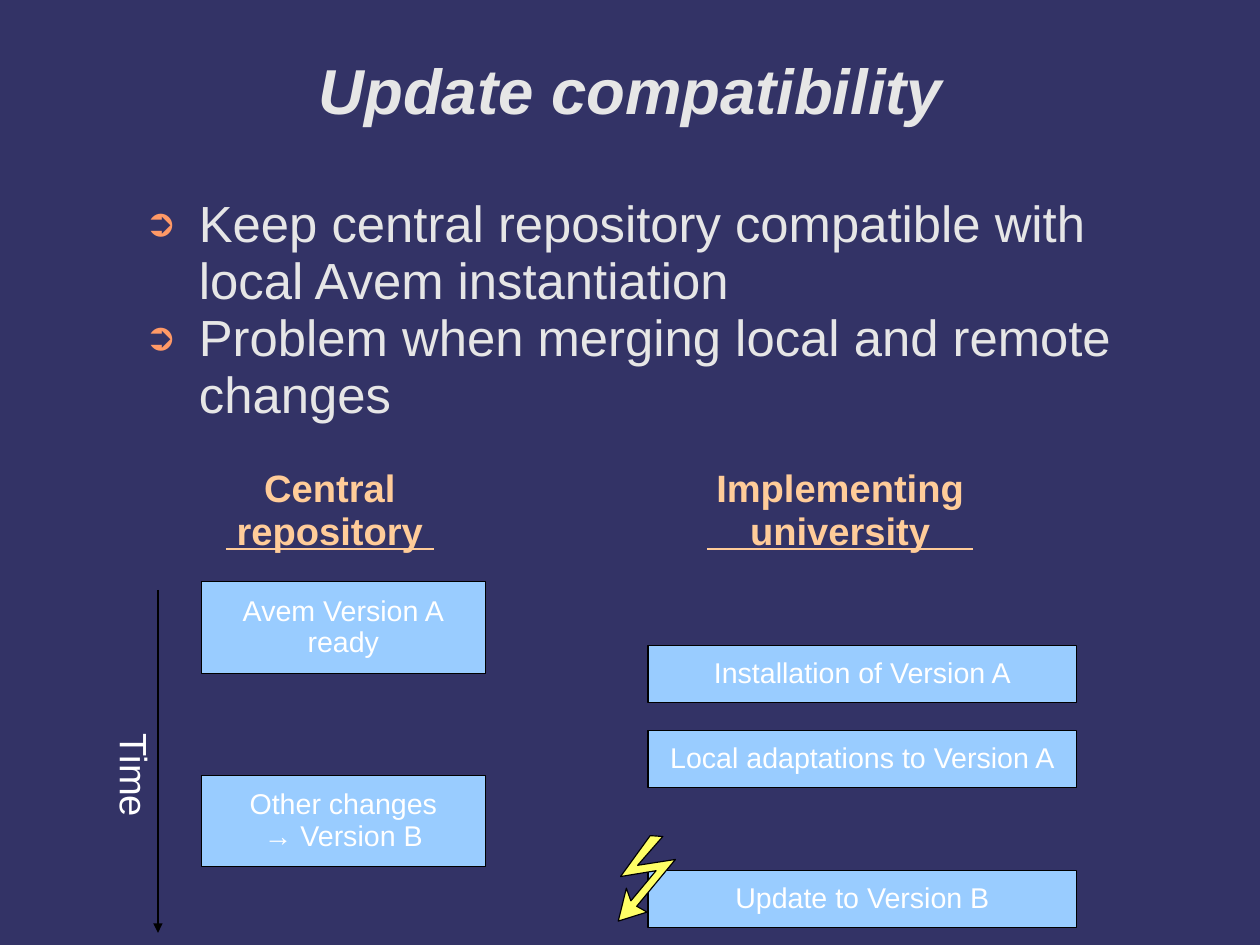
import lxml.etree
import pptx
import pptx.util
from pptx.dml.color import RGBColor
from pptx.enum.shapes import MSO_CONNECTOR, MSO_SHAPE
from pptx.enum.text import MSO_ANCHOR, MSO_AUTO_SIZE, PP_ALIGN
from pptx.oxml.ns import qn
from pptx.util import Cm

COLORS = {
    "background": "333366",
    "text": "E6E6E6",
    "bullet": "FF9966",
    "heading": "FFCC99",
    "box": "99CCFF",
    "box_text": "FFFFFF",
    "line": "000000",
    "bolt": "FFFF66",
}
BOLT = [
    (15.01, 19.1), (14.17, 19.23), (14.73, 18.59), (14.45, 18.57),
    (13.79, 19.48), (14.58, 19.35), (14.02, 20.02), (13.92, 19.74),
    (13.74, 20.47), (14.38, 20.27), (14.15, 20.14),
]


def rgb(name):
    """Return the named colour."""
    return RGBColor.from_string(COLORS[name])


def set_text(sp, text, size, color, align=PP_ALIGN.CENTER, bold=False, italic=False):
    """Fill a shape with text and format its paragraphs and runs."""
    tf = sp.text_frame
    tf.text = text
    for p in tf.paragraphs:
        p.alignment = align
        p.line_spacing = 0.93
        p.space_before = pptx.util.Pt(0)
        for r in p.runs:
            r.font.name = "Arial"
            r.font.size = pptx.util.Pt(size)
            r.font.bold = bold
            r.font.italic = italic
            r.font.color.rgb = rgb(color)


def set_frame(sp, side, top, anchor=MSO_ANCHOR.TOP, wrap=False):
    """Set the margins, anchor and wrapping of a text frame."""
    tf = sp.text_frame
    tf.margin_left = tf.margin_right = Cm(side)
    tf.margin_top = tf.margin_bottom = Cm(top)
    tf.vertical_anchor = anchor
    tf.word_wrap = wrap
    tf.auto_size = MSO_AUTO_SIZE.NONE


def place(sp, left, top, width, height):
    """Move and size a shape in centimetres."""
    sp.left, sp.top, sp.width, sp.height = map(Cm, (left, top, width, height))


def add_bullet(p):
    """Give a paragraph the arrow bullet and a hanging indent."""
    pPr = p._p.get_or_add_pPr()
    pPr.set("marL", str(Cm(1.4)))
    pPr.set("indent", str(Cm(-1.2)))
    clr = lxml.etree.SubElement(pPr, qn("a:buClr"))
    lxml.etree.SubElement(clr, qn("a:srgbClr"), val=COLORS["bullet"])
    lxml.etree.SubElement(pPr, qn("a:buSzPct"), val="75000")
    lxml.etree.SubElement(pPr, qn("a:buChar"), char="➲")


def set_outline(sp, fill):
    """Give a shape a flat fill and a thin outline."""
    sp.shadow.inherit = False
    sp.fill.solid()
    sp.fill.fore_color.rgb = rgb(fill)
    sp.line.color.rgb = rgb("line")
    sp.line.width = pptx.util.Pt(0.75)


def add_box(s, text, left, top, width, height):
    """Add a step of the timeline."""
    sp = s.shapes.add_shape(MSO_SHAPE.RECTANGLE, *map(Cm, (left, top, width, height)))
    set_outline(sp, "box")
    set_frame(sp, 0.25, 0.13, MSO_ANCHOR.MIDDLE)
    set_text(sp, text, 18, "box_text")


def add_line(s, x1, y1, x2, y2, color, width, arrow=False):
    """Add a straight line, with an arrowhead at its end if wanted."""
    line = s.shapes.add_connector(MSO_CONNECTOR.STRAIGHT, *map(Cm, (x1, y1, x2, y2)))
    line.line.color.rgb = rgb(color)
    line.line.width = pptx.util.Pt(width)
    if arrow:
        lxml.etree.SubElement(line.line._get_or_add_ln(), qn("a:tailEnd"), type="triangle")
    lxml.etree.SubElement(line._element.spPr, qn("a:effectLst"))


def add_heading(s, text, center, width):
    """Add a column heading with a rule below it."""
    left = center - width / 2
    sp = s.shapes.add_textbox(*map(Cm, (left, 10.29, width, 2.13)))
    set_frame(sp, 0.25, 0.13)
    set_text(sp, text, 24, "heading", bold=True)
    add_line(s, left + 0.25, 12.2, left + width - 0.25, 12.2, "heading", 1.75)


def add_time_axis(s):
    """Add the downward time arrow and its vertical label."""
    add_line(s, 3.51, 13.11, 3.51, 20.73, "line", 0.75, arrow=True)
    sp = s.shapes.add_textbox(*map(Cm, (2.36, 16.06, 1.19, 2.39)))
    set_frame(sp, 0.13, 0.25)
    set_text(sp, "Time", 24, "box_text", PP_ALIGN.LEFT)
    sp.text_frame._txBody.bodyPr.set("vert", "eaVert")


def add_bolt(s):
    """Add the lightning arrow that marks the conflict."""
    points = [(Cm(x), Cm(y)) for x, y in BOLT]
    builder = s.shapes.build_freeform(*points[0])
    builder.add_line_segments(points[1:], close=True)
    set_outline(builder.convert_to_shape(), "bolt")


def main():
    """Build and save the slide."""
    prs = pptx.Presentation()
    prs.slide_width, prs.slide_height = Cm(28), Cm(21)
    s = prs.slides.add_slide(prs.slide_layouts[1])
    s.background.fill.solid()
    s.background.fill.fore_color.rgb = rgb("background")

    title, body = s.placeholders
    place(title, 2.06, 0.33, 23.9, 3.5)
    set_frame(title, 0, 0, MSO_ANCHOR.MIDDLE, wrap=True)
    set_text(title, "Update compatibility", 40, "text", bold=True, italic=True)

    place(body, 3.02, 4.31, 23.55, 5.26)
    set_frame(body, 0, 0.08, wrap=True)
    set_text(body, "Keep central repository compatible with local Avem instantiation\n"
             "Problem when merging local and remote changes", 32, "text", PP_ALIGN.LEFT)
    for p in body.text_frame.paragraphs:
        add_bullet(p)

    add_heading(s, "Central\nrepository", 7.33, 5.12)
    add_heading(s, "Implementing\nuniversity", 18.67, 6.4)
    add_time_axis(s)
    for text, top in [("Avem Version A\nready", 12.93),
                      ("Other changes\n→ Version B", 17.23)]:
        add_box(s, text, 4.47, top, 6.32, 2.03)
    for text, top in [("Installation of Version A", 14.34),
                      ("Local adaptations to Version A", 16.23),
                      ("Update to Version B", 19.34)]:
        add_box(s, text, 14.4, top, 9.53, 1.27)
    add_bolt(s)
    prs.save("out.pptx")


main()
